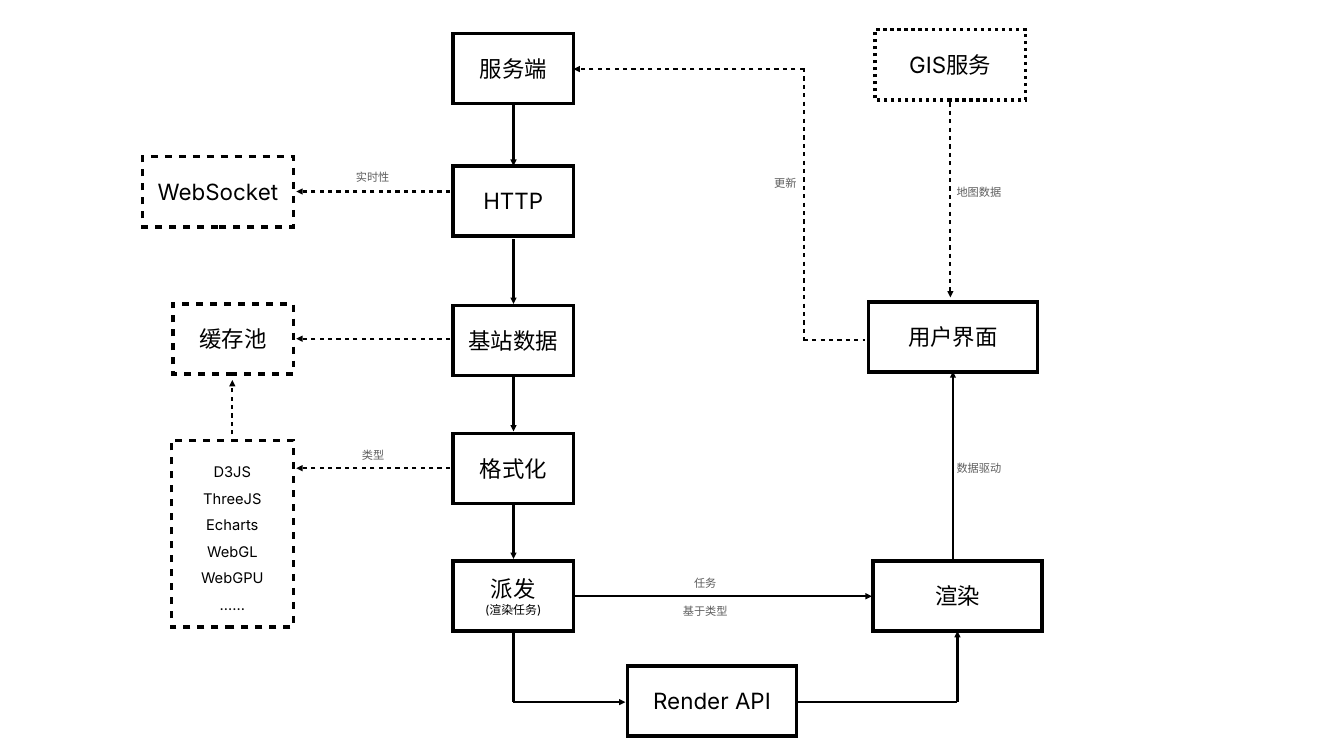
from dataclasses import dataclass

from lxml import etree
from pptx import Presentation
from pptx.dml.color import RGBColor
from pptx.enum.shapes import MSO_CONNECTOR, MSO_SHAPE
from pptx.enum.text import MSO_ANCHOR, MSO_AUTO_SIZE, PP_ALIGN
from pptx.oxml.ns import qn
from pptx.util import Inches, Pt

RECTANGLE = MSO_SHAPE.RECTANGLE
STRAIGHT = MSO_CONNECTOR.STRAIGHT
MIDDLE = MSO_ANCHOR.MIDDLE
CENTER = PP_ALIGN.CENTER
GROW = MSO_AUTO_SIZE.SHAPE_TO_FIT_TEXT
SOLID, DASHED, DOTTED = 0, 2, 1  # dash and gap length in line widths


@dataclass(frozen=True)
class Theme:
    """Colours, type sizes and line widths."""
    font: str = "Inter"
    ink: str = "000000"
    paper: str = "FFFFFF"
    muted: str = "5E5E5E"
    title: int = 32
    item: int = 21
    subtitle: int = 17
    label: int = 16
    border: int = 5
    flow: int = 3
    inset: float = 0.06


@dataclass(frozen=True)
class Box:
    """A node of the flow; sizes holds one type size per paragraph."""
    lines: tuple[str, ...]
    left: float
    top: float
    width: float
    height: float = 1.39
    dash: int = SOLID
    sizes: tuple[int, ...] = (32,)
    spacing: float = 1.0


@dataclass(frozen=True)
class Flow:
    """A straight segment between two points."""
    start: tuple[float, float]
    end: tuple[float, float]
    dash: int = SOLID
    arrow: bool = True


@dataclass(frozen=True)
class Label:
    """A small caption beside a flow."""
    text: str
    left: float
    top: float
    width: float


THEME = Theme()
SLIDE_WIDTH, SLIDE_HEIGHT = 26.67, 15
NARROW, MEDIUM, WIDE = 2.39, 2.99, 3.36
MAIN_LEFT, MAIN_AXIS = 8.99, 10.19
SIDE_RIGHT = 5.82
UPDATE_AXIS, RENDER_AXIS = 15.95, 19
API_ROW = 13.93
LIBRARIES = ("D3JS", "ThreeJS", "Echarts", "WebGL", "WebGPU", "……")

MAIN_STEPS = (
    (("服务端",), 0.66),
    (("HTTP",), 3.29),
    (("基站数据",), 6.06),
    (("格式化",), 8.6),
    (("派发", "(渲染任务)"), 11.13),
)
BOXES = [
    Box(lines, MAIN_LEFT, top, NARROW, sizes=(THEME.title, THEME.subtitle)[:len(lines)])
    for lines, top in MAIN_STEPS
] + [
    Box(("GIS服务",), 17.36, 0.59, MEDIUM, dash=DOTTED),
    Box(("用户界面",), 17.23, 5.99, WIDE),
    Box(("渲染",), 17.32, 11.13, WIDE),
    Box(("Render API",), 12.45, 13.21, WIDE),
    Box(("WebSocket",), SIDE_RIGHT - MEDIUM, 3.11, MEDIUM, dash=DASHED),
    Box(("缓存池",), SIDE_RIGHT - NARROW, 6.03, NARROW, dash=DASHED),
    Box(LIBRARIES, 3.4, 8.74, 2.42, 3.7, DASHED, (THEME.item,) * len(LIBRARIES), 1.5),
]

MAIN_SPANS = ((2.05, 3.29), (4.75, 6.03), (7.49, 8.56), (10.02, 11.09))
SIDE_ROWS = (3.8, 6.72, 9.29)
FLOWS = [
    Flow((MAIN_AXIS, top), (MAIN_AXIS, bottom)) for top, bottom in MAIN_SPANS
] + [
    Flow((8.93, row), (5.88, row), DASHED) for row in SIDE_ROWS
] + [
    Flow((4.61, 8.62), (4.61, 7.54), DASHED),
    Flow((18.86, 2.03), (18.86, 5.9), DASHED),
    Flow((UPDATE_AXIS, 6.75), (17.16, 6.75), DASHED, False),
    Flow((UPDATE_AXIS, 1.35), (UPDATE_AXIS, 6.81), DASHED, False),
    Flow((UPDATE_AXIS, 1.37), (11.38, 1.37), DASHED),
    Flow((11.4, 11.83), (17.3, 11.83)),
    Flow((18.91, 11.14), (18.91, 7.37)),
    Flow((MAIN_AXIS, 12.56), (MAIN_AXIS, API_ROW), arrow=False),
    Flow((MAIN_AXIS, API_ROW), (12.41, API_ROW)),
    Flow((RENDER_AXIS, API_ROW), (15.82, API_ROW), arrow=False),
    Flow((RENDER_AXIS, API_ROW), (RENDER_AXIS, 12.52)),
]

LABELS = (
    Label("实时性", 7, 3.3, 0.79),
    Label("类型", 7.12, 8.82, 0.57),
    Label("更新", 15.3, 3.42, 0.57),
    Label("地图数据", 18.92, 3.6, 1.01),
    Label("数据驱动", 18.92, 9.08, 1.01),
    Label("任务", 13.71, 11.35, 0.57),
    Label("基于类型", 13.49, 11.92, 1.01),
)


def write_text(shape, lines, *, sizes, color=THEME.ink, spacing=1.0, wrap=True) -> None:
    """Fill a shape with centred paragraphs."""
    frame = shape.text_frame
    frame.word_wrap = wrap
    frame.vertical_anchor = MIDDLE
    frame.margin_left = frame.margin_right = Inches(THEME.inset)
    frame.margin_top = frame.margin_bottom = Inches(THEME.inset)
    for index, (text, size) in enumerate(zip(lines, sizes)):
        paragraph = frame.add_paragraph() if index else frame.paragraphs[0]
        paragraph.alignment = CENTER
        paragraph.line_spacing = spacing
        run = paragraph.add_run()
        run.text = text
        run.font.name = THEME.font
        run.font.size = Pt(size)
        run.font.color.rgb = RGBColor.from_string(color)


def style_line(line, width: int, dash: int, arrow: bool = False) -> None:
    """Set colour, width, dash pattern and arrowhead of a line."""
    line.color.rgb = RGBColor.from_string(THEME.ink)
    line.width = Pt(width)
    properties = line._get_or_add_ln()
    if dash:
        pattern = etree.SubElement(properties, qn("a:custDash"))
        length = str(dash * 100000)
        etree.SubElement(pattern, qn("a:ds"), d=length, sp=length)
    etree.SubElement(properties, qn("a:miter"), lim="400000")
    if arrow:
        etree.SubElement(properties, qn("a:tailEnd"), type="triangle")


def draw_box(slide, box: Box) -> None:
    """Draw one outlined node with its text."""
    place = map(Inches, (box.left, box.top, box.width, box.height))
    shape = slide.shapes.add_shape(RECTANGLE, *place)
    shape.shadow.inherit = False
    shape.fill.solid()
    shape.fill.fore_color.rgb = RGBColor.from_string(THEME.paper)
    style_line(shape.line, THEME.border, box.dash)
    write_text(shape, box.lines, sizes=box.sizes, spacing=box.spacing)


def draw_flow(slide, flow: Flow) -> None:
    """Draw one connector segment."""
    connector = slide.shapes.add_connector(STRAIGHT, *map(Inches, flow.start + flow.end))
    style_line(connector.line, THEME.flow, flow.dash, flow.arrow)
    etree.SubElement(connector._element.spPr, qn("a:effectLst"))


def draw_label(slide, label: Label) -> None:
    """Draw one caption."""
    place = map(Inches, (label.left, label.top, label.width, 0.42))
    shape = slide.shapes.add_textbox(*place)
    write_text(shape, (label.text,), sizes=(THEME.label,), color=THEME.muted, wrap=False)
    shape.text_frame.auto_size = GROW


def main() -> None:
    """Build the flow diagram and save it."""
    presentation = Presentation()
    presentation.slide_width = Inches(SLIDE_WIDTH)
    presentation.slide_height = Inches(SLIDE_HEIGHT)
    slide = presentation.slides.add_slide(presentation.slide_layouts[6])
    for draw, elements in ((draw_box, BOXES), (draw_flow, FLOWS), (draw_label, LABELS)):
        for element in elements:
            draw(slide, element)
    presentation.save("out.pptx")


main()
